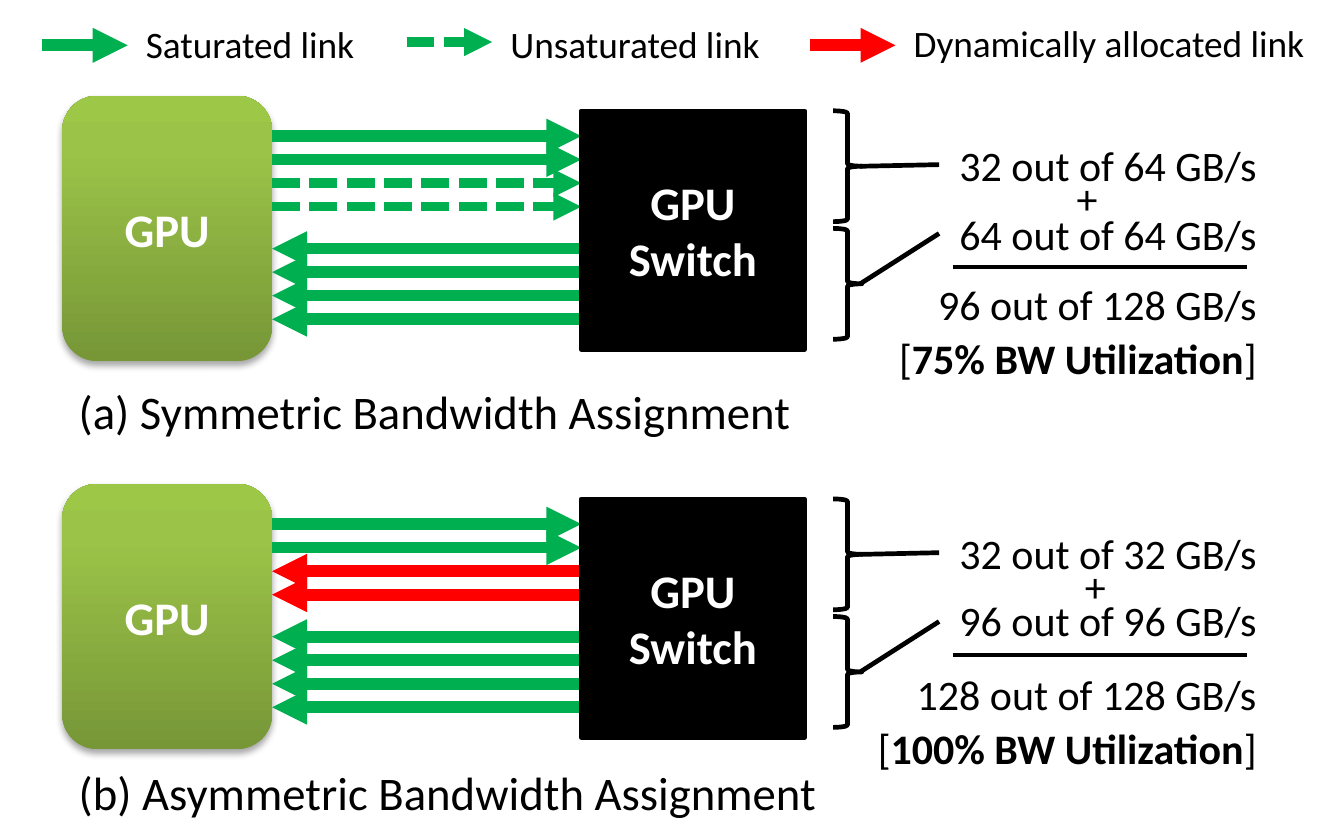
from copy import deepcopy
from typing import NamedTuple

from lxml import etree
from pptx import Presentation
from pptx.dml.color import RGBColor
from pptx.enum.dml import MSO_LINE
from pptx.enum.shapes import MSO_CONNECTOR, MSO_SHAPE
from pptx.enum.text import MSO_ANCHOR, MSO_AUTO_SIZE, PP_ALIGN
from pptx.oxml.ns import qn
from pptx.shapes.autoshape import Shape
from pptx.slide import Slide
from pptx.util import Inches, Pt

STRAIGHT = MSO_CONNECTOR.STRAIGHT
DASH = MSO_LINE.SQUARE_DOT
ROUNDED, RECTANGLE, BRACE = (
    MSO_SHAPE.ROUNDED_RECTANGLE, MSO_SHAPE.RECTANGLE, MSO_SHAPE.RIGHT_BRACE)
LEFT, CENTER, RIGHT = PP_ALIGN.LEFT, PP_ALIGN.CENTER, PP_ALIGN.RIGHT
MIDDLE = MSO_ANCHOR.MIDDLE
GROW = MSO_AUTO_SIZE.SHAPE_TO_FIT_TEXT

FONT = "Calibri"
COLORS = {"black": "000000", "white": "FFFFFF", "green": "00B050", "red": "FF0000",
          "gpu_dark": "779737", "gpu_mid": "9BC348", "gpu_light": "9DC746"}
GPU_STOPS = [(0, "gpu_dark"), (0.8, "gpu_mid"), (1, "gpu_light")]
GPU_RIGHT, SWITCH_LEFT, SUM_RIGHT = 1.62, 3.46, 7.58
LANE_PITCH = 0.14
LANE_GROUPS = (0.24, 0.91)  # first lane of each group of four, below the GPU top
LANES_PER_GROUP = 4


class LinkStyle(NamedTuple):
    """Look of one kind of link."""
    color: str
    weight: float
    dashed: bool = False


class LegendItem(NamedTuple):
    """One legend arrow with its label."""
    style: LinkStyle
    left: float
    arrow_y: float
    label: str
    label_top: float
    label_width: float


class SumLine(NamedTuple):
    """One right-aligned line of the bandwidth sum."""
    text: str
    top: float
    width: float


class Panel(NamedTuple):
    """One bandwidth assignment; tops are measured from the GPU top."""
    top: float
    caption: str
    caption_top: float
    caption_width: float
    links: list[tuple[LinkStyle, bool]]
    sum_lines: list[SumLine]
    plus_left: float
    utilization: SumLine


SATURATED = LinkStyle("green", 5)
UNSATURATED = LinkStyle("green", 4, True)
DYNAMIC = LinkStyle("red", 5)

LEGEND = [
    LegendItem(SATURATED, 0.25, 0.27, "Saturated link", 0.08, 1.46),
    LegendItem(UNSATURATED, 2.42, 0.25, "Unsaturated link", 0.08, 1.7),
    LegendItem(DYNAMIC, 4.82, 0.27, "Dynamically allocated link", 0.07, 2.55),
]
TO_SWITCH, TO_GPU = (SATURATED, True), (SATURATED, False)
PANELS = [
    Panel(0.57, "(a) Symmetric Bandwidth Assignment", 1.66, 4.48,
          [TO_SWITCH] * 2 + [(UNSATURATED, True)] * 2 + [TO_GPU] * 4,
          [SumLine("32 out of 64 GB/s", 0.21, 1.99),
           SumLine("64 out of 64 GB/s", 0.62, 1.99),
           SumLine("96 out of 128 GB/s", 1.04, 2.12)],
          6.31, SumLine("75% BW Utilization", 1.36, 2.35)),
    Panel(2.88, "(b) Asymmetric Bandwidth Assignment", 1.62, 4.62,
          [TO_SWITCH] * 2 + [(DYNAMIC, False)] * 2 + [TO_GPU] * 4,
          [SumLine("32 out of 32 GB/s", 0.21, 1.99),
           SumLine("96 out of 96 GB/s", 0.61, 1.99),
           SumLine("128 out of 128 GB/s", 1.05, 2.25)],
          6.36, SumLine("100% BW Utilization", 1.37, 2.48)),
]


def rgb(name: str) -> RGBColor:
    """Look up a colour by its name."""
    return RGBColor.from_string(COLORS[name])


def add_line(slide: Slide, start: tuple[float, float], end: tuple[float, float],
             style: LinkStyle, arrow: bool = False) -> None:
    """Draw a straight line, with an arrowhead at its end if wanted."""
    connector = slide.shapes.add_connector(STRAIGHT, *map(Inches, start + end))
    connector.line.color.rgb = rgb(style.color)
    connector.line.width = Pt(style.weight)
    if style.dashed:
        connector.line.dash_style = DASH
    properties = connector._element.spPr
    if arrow:
        etree.SubElement(properties.find(qn("a:ln")), qn("a:tailEnd"), type="triangle")
    etree.SubElement(properties, qn("a:effectLst"))


def add_text(slide: Slide, parts: list[str], left: float, top: float, width: float,
             height: float, size: float, align: PP_ALIGN = LEFT) -> None:
    """Add one unwrapped line of text; every second part is bold."""
    frame = slide.shapes.add_textbox(*map(Inches, (left, top, width, height))).text_frame
    frame.word_wrap = False
    frame.auto_size = GROW
    paragraph = frame.paragraphs[0]
    paragraph.alignment = align
    for index, part in enumerate(parts):
        run = paragraph.add_run()
        run.text = part
        run.font.name, run.font.size = FONT, Pt(size)
        run.font.bold = index % 2 == 1
        run.font.color.rgb = rgb("black")


def add_block(slide: Slide, kind: MSO_SHAPE, label: str, left: float, top: float,
              width: float, height: float) -> Shape:
    """Add a device block with a bold white label."""
    block = slide.shapes.add_shape(kind, *map(Inches, (left, top, width, height)))
    block.shadow.inherit = False
    frame = block.text_frame
    frame.text = label
    frame.word_wrap = True
    frame.vertical_anchor = MIDDLE
    frame.paragraphs[0].alignment = CENTER
    font = frame.paragraphs[0].runs[0].font
    font.name, font.size, font.bold = FONT, Pt(20), True
    font.color.rgb = rgb("white")
    return block


def add_gpu(slide: Slide, top: float) -> None:
    """Add the GPU block with its green gradient and soft shadow."""
    gpu = add_block(slide, ROUNDED, "GPU", 0.37, top, 1.25, 1.58)
    gpu.line.fill.background()
    gpu.fill.gradient()
    gpu.fill.gradient_angle = 90
    properties = gpu._element.spPr
    stop_list = properties.find(qn("a:gradFill")).find(qn("a:gsLst"))
    stop_list.append(deepcopy(stop_list[0]))
    for stop, (position, color) in zip(gpu.fill.gradient_stops, GPU_STOPS):
        stop.position = position
        stop.color.rgb = rgb(color)
    shadow = etree.SubElement(
        properties.find(qn("a:effectLst")), qn("a:outerShdw"), blurRad=str(Pt(3.1)),
        dist=str(Pt(1.8)), dir="5400000", rotWithShape="0")
    shade = etree.SubElement(shadow, qn("a:srgbClr"), val=COLORS["black"])
    etree.SubElement(shade, qn("a:alpha"), val="35000")


def add_switch(slide: Slide, top: float) -> None:
    """Add the black switch block."""
    switch = add_block(slide, RECTANGLE, "GPU Switch", SWITCH_LEFT, top, 1.33, 1.42)
    switch.fill.solid()
    switch.fill.fore_color.rgb = switch.line.color.rgb = rgb("black")
    switch.line.width = Pt(2)


def add_brace(slide: Slide, top: float) -> None:
    """Add a brace around one group of links."""
    brace = slide.shapes.add_shape(BRACE, *map(Inches, (4.96, top, 0.17, 0.66)))
    brace.shadow.inherit = False
    brace.fill.background()
    brace.line.color.rgb = rgb("black")
    brace.line.width = Pt(2)


def add_panel(slide: Slide, panel: Panel) -> None:
    """Draw the devices, links, braces, sum and caption of one assignment."""
    top = panel.top
    add_text(slide, [panel.caption], 0.37, top + panel.caption_top,
             panel.caption_width, 0.44, 20)
    add_gpu(slide, top)
    for index, (style, to_switch) in enumerate(panel.links):
        group, lane = divmod(index, LANES_PER_GROUP)
        y = top + LANE_GROUPS[group] + lane * LANE_PITCH
        ends = [(GPU_RIGHT, y), (SWITCH_LEFT, y)]
        start, end = ends if to_switch else reversed(ends)
        add_line(slide, start, end, style, arrow=True)
    add_switch(slide, top + 0.09)

    for brace_top, sum_y in ((0.09, 0.41), (0.79, 0.82)):
        add_brace(slide, top + brace_top)
        add_line(slide, (5.12, top + brace_top + 0.33), (5.59, top + sum_y),
                 LinkStyle("black", 2))
    for line in panel.sum_lines:
        add_text(slide, [line.text], SUM_RIGHT - line.width, top + line.top,
                 line.width, 0.4, 18, RIGHT)
    add_text(slide, ["+"], panel.plus_left, top + 0.41, 0.33, 0.4, 18)
    add_line(slide, (5.67, top + 1.02), (7.42, top + 1.02), LinkStyle("black", 1.5))
    result = panel.utilization
    add_text(slide, ["[", result.text, "]"], SUM_RIGHT - result.width,
             top + result.top, result.width, 0.4, 18, RIGHT)


def add_legend_item(slide: Slide, item: LegendItem) -> None:
    """Draw one legend arrow and its label."""
    arrow_end = item.left + 0.51
    add_line(slide, (item.left, item.arrow_y), (arrow_end, item.arrow_y),
             item.style, arrow=True)
    add_text(slide, [item.label], arrow_end + 0.01, item.label_top,
             item.label_width, 0.37, 16)


presentation = Presentation()
presentation.slide_width, presentation.slide_height = Inches(8), Inches(5)
bandwidth_slide = presentation.slides.add_slide(presentation.slide_layouts[6])
for bandwidth_panel in PANELS:
    add_panel(bandwidth_slide, bandwidth_panel)
for legend_item in LEGEND:
    add_legend_item(bandwidth_slide, legend_item)
presentation.save("out.pptx")
